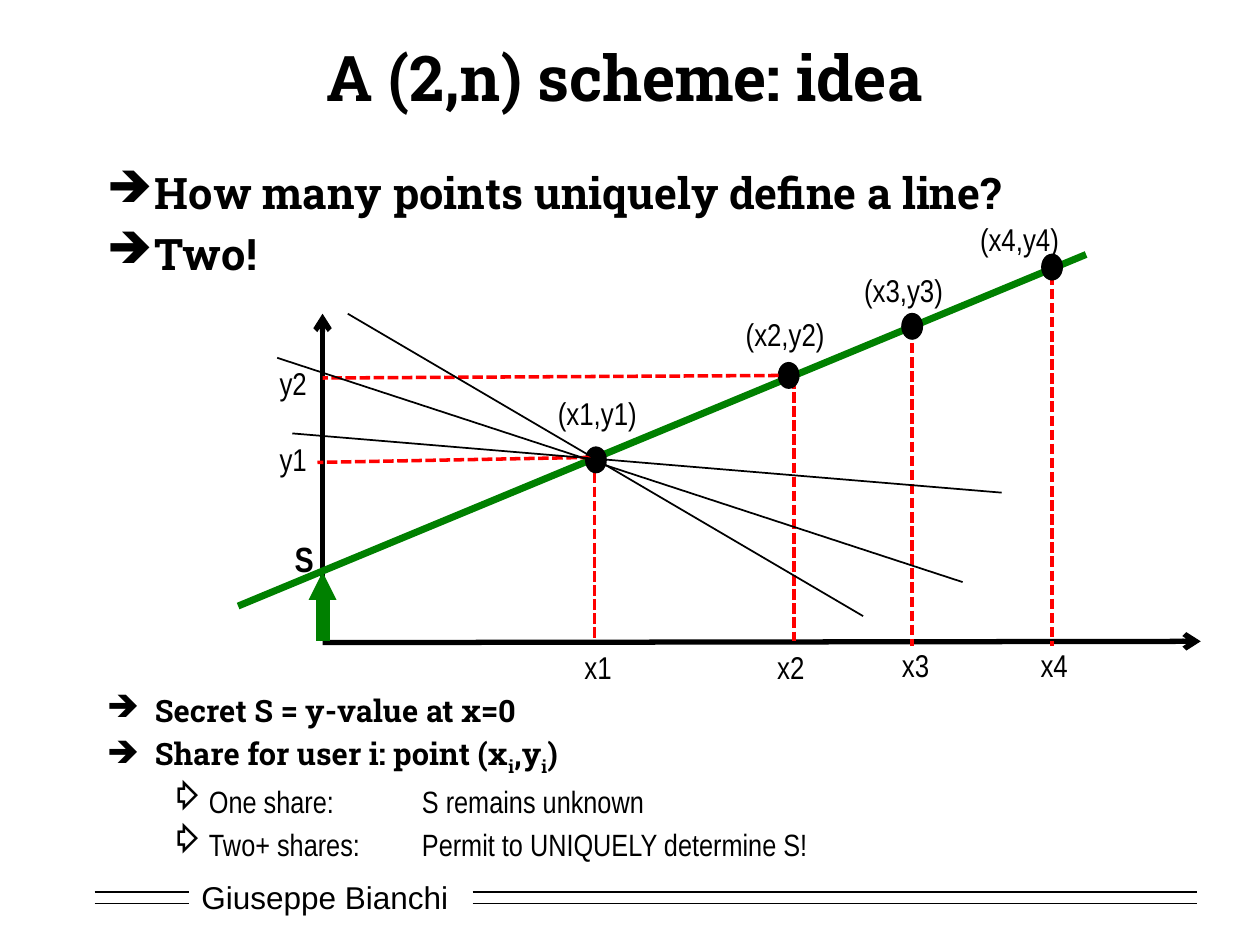
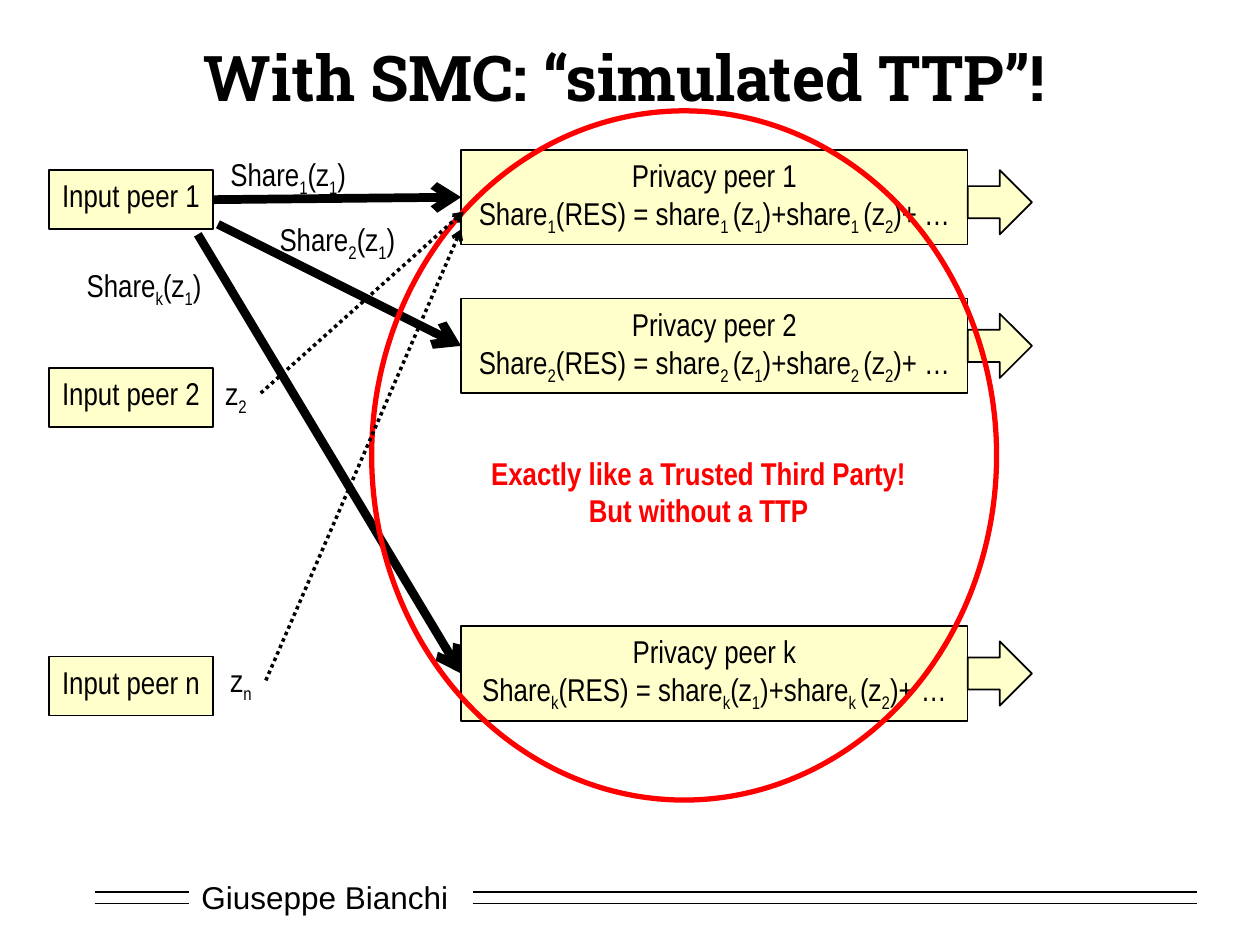
from dataclasses import dataclass
from lxml.etree import SubElement
from pptx import Presentation
from pptx.dml.color import RGBColor
from pptx.enum.dml import MSO_LINE
from pptx.enum.shapes import MSO_CONNECTOR, MSO_SHAPE
from pptx.enum.text import MSO_ANCHOR, MSO_AUTO_SIZE, PP_ALIGN
from pptx.oxml.ns import qn
from pptx.util import Pt

PX = 9144


@dataclass(frozen=True)
class Theme:
    black: RGBColor = RGBColor(0, 0, 0)
    white: RGBColor = RGBColor(255, 255, 255)
    red: RGBColor = RGBColor(255, 0, 0)
    green: RGBColor = RGBColor(0, 128, 0)
    yellow: RGBColor = RGBColor(255, 255, 153)
    heading: str = "Roboto Slab"
    label: str = "Arial Narrow"
    footer: str = "Arial"
    title_size: float = 36
    question_size: float = 24.8
    summary_size: float = 17.6
    secret_size: float = 20
    label_size: float = 18


T = Theme()
LEVELS = (
    {"mark": "➔", "left": 38, "hang": 38, "font": T.heading, "bold": True},
    {"mark": "⇨", "left": 81, "hang": 31, "font": T.label, "bold": False},
)


def emu(*lengths):
    return [v * PX for v in lengths]


def assign(obj, values):
    for name, value in values.items():
        setattr(obj, name, value)


def add_runs(p, text, size=T.label_size, font=T.label, color=T.black, bold=False):
    for i, part in enumerate(text.replace("}", "{").split("{")):
        if not part:
            continue
        r = p.add_run()
        r.text = part
        assign(r.font, {"size": Pt(size), "name": font, "bold": bold})
        r.font.color.rgb = color
        if i % 2:
            r.font._element.set("baseline", "-25000")


def fill_text(tf, lines, align=PP_ALIGN.LEFT, **style):
    for i, line in enumerate(lines):
        p = tf.add_paragraph() if i else tf.paragraphs[0]
        p.alignment = align
        add_runs(p, line, **style)


def add_label(s, x, y, w, h, *lines, **style):
    tf = s.shapes.add_textbox(*emu(x, y, w, h)).text_frame
    assign(tf, {"word_wrap": False, "auto_size": MSO_AUTO_SIZE.SHAPE_TO_FIT_TEXT})
    fill_text(tf, lines, **style)


def add_bullets(s, y, h, size, items):
    tf = s.shapes.add_textbox(*emu(75, y, 842, h)).text_frame
    tf.word_wrap = True
    for i, (level, text) in enumerate(items):
        look = LEVELS[level]
        p = tf.add_paragraph() if i else tf.paragraphs[0]
        assign(p, {"level": level, "space_before": Pt(round(size * 0.2, 1))})
        pPr = p._p.get_or_add_pPr()
        pPr.set("marL", str(look["left"] * PX))
        pPr.set("indent", str(-look["hang"] * PX))
        color = SubElement(SubElement(pPr, qn("a:buClr")), qn("a:srgbClr"))
        color.set("val", str(T.black))
        SubElement(pPr, qn("a:buChar")).set("char", look["mark"])
        add_runs(p, text, size, look["font"], bold=look["bold"])


def add_shape(s, kind, x, y, w, h, fill=None, line=T.black, width=1, alpha=None):
    sp = s.shapes.add_shape(kind, *emu(x, y, w, h))
    sp.shadow.inherit = False
    if fill is None:
        sp.fill.background()
    else:
        sp.fill.solid()
        sp.fill.fore_color.rgb = fill
    if alpha:
        color = sp._element.spPr.find(qn("a:solidFill"))[0]
        SubElement(color, qn("a:alpha")).set("val", str(alpha * 1000))
    if line is None:
        sp.line.fill.background()
    else:
        sp.line.color.rgb = line
        sp.line.width = Pt(width)
    return sp


def add_peer(s, x, y, w, h, *lines):
    sp = add_shape(s, MSO_SHAPE.RECTANGLE, x, y, w, h, T.yellow, alpha=50)
    assign(sp.text_frame, {"word_wrap": False, "vertical_anchor": MSO_ANCHOR.TOP})
    fill_text(sp.text_frame, lines, PP_ALIGN.CENTER)
    return sp


def add_line(s, start, end, color=T.black, width=1, dash=None,
             head=None, tail=None, size="med", begin_at=None, end_at=None):
    c = s.shapes.add_connector(MSO_CONNECTOR.STRAIGHT, *emu(*start, *end))
    if begin_at:
        c.begin_connect(*begin_at)
    if end_at:
        c.end_connect(*end_at)
    c.line.color.rgb = color
    assign(c.line, {"width": Pt(width), "dash_style": dash})
    ln = c.line._get_or_add_ln()
    for tag, kind in (("a:headEnd", head), ("a:tailEnd", tail)):
        if kind:
            tip = SubElement(ln, qn(tag))
            for name, value in (("type", kind), ("w", size), ("len", size)):
                tip.set(name, value)
    SubElement(c._element.spPr, qn("a:effectLst"))


def add_base(prs, title):
    s = prs.slides.add_slide(prs.slide_layouts[6])
    sp = add_shape(s, MSO_SHAPE.RECTANGLE, 150, 692, 217, 40, T.white, None)
    assign(sp.text_frame, {"word_wrap": True, "vertical_anchor": MSO_ANCHOR.MIDDLE})
    fill_text(sp.text_frame, ["Giuseppe Bianchi"], font=T.footer)
    for y in (708, 717):
        for left, right in ((75, 150), (375, 950)):
            add_line(s, (left, y), (right, y))
    tf = s.shapes.add_textbox(*emu(75, 25, 842, 71)).text_frame
    assign(tf, {"word_wrap": True, "vertical_anchor": MSO_ANCHOR.MIDDLE})
    fill_text(tf, [title], PP_ALIGN.CENTER,
              size=T.title_size, font=T.heading, bold=True)
    return s


def build_scheme(prs):
    s = add_base(prs, "A (2,n) scheme: idea")
    add_bullets(s, 127, 110, T.question_size,
                [(0, "How many points uniquely define a line?"), (0, "Two!")])
    add_line(s, (256, 509), (256, 249), width=3, tail="arrow")
    add_line(s, (256, 510), (953, 509), width=3, tail="arrow")
    add_line(s, (189, 481), (862, 202), T.green, 4)

    dashed = {"color": T.red, "width": 2, "dash": MSO_LINE.SQUARE_DOT}
    points = (
        ((465, 355), (472, 375, 509), (433, 308), (454, 509)),
        ((618, 288), (630, 300, 509), (582, 245), (607, 509)),
        ((716, 249), (724, 261, 513), (676, 210), (706, 508)),
        ((827, 202), (835, 218, 513), (768, 170), (816, 508)),
    )
    for i, (dot, (x, top, bottom), label, tick) in enumerate(points, 1):
        add_line(s, (x, top), (x, bottom), **dashed)
        add_shape(s, MSO_SHAPE.OVAL, *dot, 16, 20, T.black)
        add_label(s, *label, 84, 40, f"(x{i},y{i})")
        add_label(s, *tick, 42, 40, f"x{i}")
    for start, end in (((469, 363), (252, 367)), ((618, 298), (256, 300))):
        add_line(s, start, end, **dashed)
    for name, y in (("y1", 344), ("y2", 284)):
        add_label(s, 212, y, 42, 40, name)

    add_line(s, (256, 454), (256, 509), T.green, 8, head="triangle", size="sm")
    add_label(s, 224, 422, 36, 44, "S", size=T.secret_size, bold=True)
    for start, end in (((220, 284), (764, 462)), ((232, 344), (795, 391)),
                       ((276, 249), (685, 489))):
        add_line(s, start, end)
    add_bullets(s, 544, 130, T.summary_size, [
        (0, "Secret S = y-value at x=0"),
        (0, "Share for user i: point (x{i},y{i})"),
        (1, "One share: \t\tS remains unknown"),
        (1, "Two+ shares: \tPermit to UNIQUELY determine S!"),
    ])


def build_simulated_ttp(prs):
    s = add_base(prs, "With SMC: “simulated TTP”!")
    inputs = [add_peer(s, 39, y, 130, 47, f"Input peer {n}")
              for n, y in (("1", 135), ("2", 292), ("n", 521))]
    privacy = []
    for n, gap, y, arrow_y in (("1", " ", 119, 135), ("2", " ", 237, 249),
                               ("k", "", 497, 509)):
        share = (f"Share{{{n}}}(RES) = share{{{n}{gap}}}(z{{1}})"
                 f"+share{{{n} }}(z{{2}})+ …")
        privacy.append(add_peer(s, 366, y, 402, 75, f"Privacy peer {n}", share))
        add_shape(s, MSO_SHAPE.RIGHT_ARROW, 768, arrow_y, 51, 51, T.yellow, alpha=50)

    starts = ((169, 159), (173, 178), (157, 186))
    for i, (start, peer) in enumerate(zip(starts, privacy)):
        add_line(s, start, (366, 156), width=5, tail="arrow",
                 begin_at=None if i else (inputs[0], 3), end_at=(peer, 1))
    for n, x, y, w in (("1", 173, 118, 119), ("2", 212, 170, 119), ("k", 59, 206, 114)):
        add_label(s, x, y, w, 40, f"Share{{{n}}}(z{{1}})")
    for n, x, y in (("2", 169, 292), ("n", 173, 520)):
        add_label(s, x, y, 38, 40, f"z{{{n}}}")

    add_shape(s, MSO_SHAPE.OVAL, 295, 88, 496, 547, line=T.red, width=3)
    add_label(s, 378, 355, 353, 71, "Exactly like a Trusted Third Party!",
              "But without a TTP", align=PP_ALIGN.CENTER, color=T.red, bold=True)
    for start, end in (((207, 312), (368, 168)), ((211, 540), (366, 182))):
        add_line(s, start, end, width=2, dash=MSO_LINE.ROUND_DOT, tail="arrow")


def main():
    prs = Presentation()
    assign(prs, {"slide_width": 1000 * PX, "slide_height": 750 * PX})
    build_scheme(prs)
    build_simulated_ttp(prs)
    prs.save("out.pptx")


if __name__ == "__main__":
    main()
